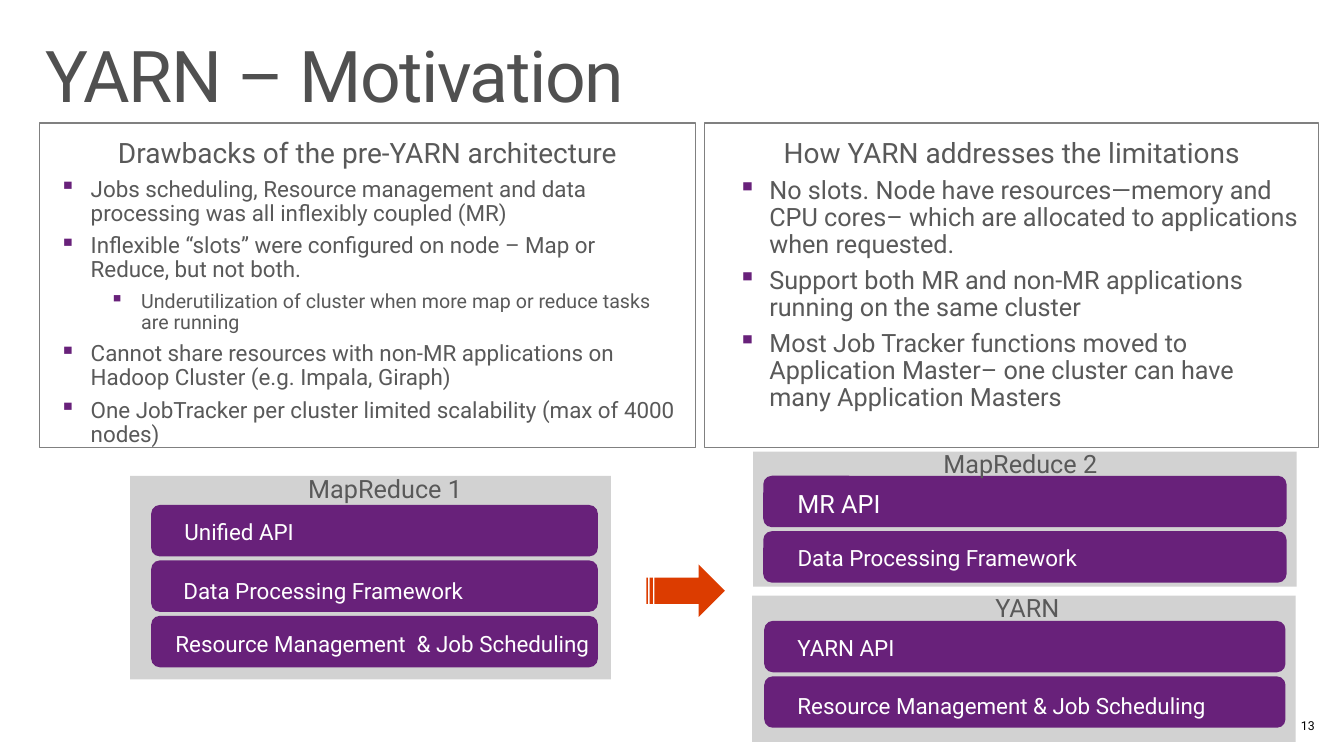
from lxml.etree import SubElement
from pptx import Presentation
from pptx.dml.color import RGBColor
from pptx.enum.shapes import MSO_SHAPE as Shape
from pptx.enum.text import MSO_ANCHOR as Anchor, MSO_AUTO_SIZE as AutoSize, PP_ALIGN as Align
from pptx.oxml.ns import qn
from pptx.util import Inches, Pt

PURPLE = RGBColor(0x68, 0x21, 0x7A)
ORANGE = RGBColor(0xDC, 0x3C, 0x00)
PANEL_GRAY = RGBColor(0xD2, 0xD2, 0xD2)
LINE_GRAY = RGBColor(0x80, 0x80, 0x80)
TITLE_GRAY = RGBColor(0x50, 0x50, 0x50)
TEXT_GRAY = RGBColor(0x59, 0x59, 0x59)
WHITE = RGBColor(0xFF, 0xFF, 0xFF)
BLACK = RGBColor(0, 0, 0)

FONT = "Roboto"
INSETS = (0.2, 0.16, 0.2, 0.16)
BAR_HEIGHT, BAR_PITCH = 0.51, 0.55

# Text boxes above: heading, left, width, bullet margin, (text, size, level)
TEXT_PANELS = [
    ("Drawbacks of the pre-YARN architecture", 0.39, 6.51, 0.31, [
        ("Jobs scheduling, Resource management and data processing was all "
         "inflexibly coupled (MR)", 16, 0),
        ("Inflexible “slots” were configured on node – Map or Reduce, but not both.", 16, 0),
        ("Underutilization of cluster when more map or reduce tasks are running", 14, 1),
        ("Cannot share resources with non-MR applications on Hadoop Cluster "
         "(e.g. Impala, Giraph)", 16, 0),
        ("One JobTracker per cluster limited scalability (max of 4000 nodes)", 16, 0),
    ]),
    ("How YARN addresses the limitations", 6.99, 6.09, 0.44, [
        ("No slots. Node have resources—memory and CPU cores– which are allocated "
         "to applications when requested.", 18, 0),
        ("Support both MR and non-MR applications running on the same cluster", 18, 0),
        ("Most Job Tracker functions moved to Application Master– one cluster can "
         "have many Application Masters", 18, 0),
    ]),
]

# Stacks below: heading, its place, panel box, first bar, (label, left, top, width, size)
STACKS = [
    ("YARN", (9.05, 5.86), (7.46, 5.91, 5.39, 1.45), (7.58, 6.16, 5.17), [
        ("YARN API", 7.71, 6.16, 2.9, 16),
        ("Resource Management & Job Scheduling", 7.71, 6.74, 4.74, 16),
    ]),
    ("MapReduce 2", (8.98, 4.43), (7.47, 4.48, 5.39, 1.34), (7.57, 4.72, 5.19), [
        ("MR API", 7.71, 4.72, 2.9, 18),
        ("Data Processing Framework", 7.71, 5.27, 4.58, 16),
    ]),
    ("MapReduce 1", (2.68, 4.68), (1.29, 4.72, 4.77, 2.02), (1.5, 5.01, 4.43), [
        ("Unified API", 1.63, 5.01, 1.86, 16),
        ("Data Processing Framework", 1.62, 5.6, 3.76, 16),
        ("Resource Management  & Job Scheduling", 1.54, 6.12, 4.52, 16),
    ]),
]


class SlideBuilder:
    def __init__(self, presentation):
        self.slide = presentation.slides.add_slide(presentation.slide_layouts[5])

    def frame(self, shape, insets=INSETS, anchor=Anchor.TOP):
        frame = shape.text_frame
        frame.word_wrap = True
        frame.auto_size = AutoSize.NONE
        frame.vertical_anchor = anchor
        (frame.margin_left, frame.margin_top,
         frame.margin_right, frame.margin_bottom) = map(Inches, insets)
        return frame

    def add_text(self, paragraph, text, size, color, align=Align.LEFT, after=6):
        paragraph.alignment = align
        paragraph.line_spacing = 0.9
        paragraph.space_before = Pt(0)
        paragraph.space_after = Pt(after)
        run = paragraph.add_run()
        run.text = text
        run.font.name = FONT
        run.font.size = Pt(size)
        run.font.color.rgb = color
        return run

    def title(self, text, box):
        shape = self.slide.shapes.title
        shape.left, shape.top, shape.width, shape.height = map(Inches, box)
        frame = self.frame(shape, (0.16, 0.1, 0.16, 0.1))
        run = self.add_text(frame.paragraphs[0], text, 51, TITLE_GRAY, after=0)
        run._r.get_or_add_rPr().set("spc", "-100")

    def shape(self, kind, box, fill=None, line=None):
        shape = self.slide.shapes.add_shape(kind, *map(Inches, box))
        shape.shadow.inherit = False
        if fill is None:
            shape.fill.background()
        else:
            shape.fill.solid()
            shape.fill.fore_color.rgb = fill
        if line is None:
            shape.line.fill.background()
        else:
            shape.line.color.rgb = line
            shape.line.width = Pt(0.75)
        return shape

    def label(self, text, box, size, color, align=Align.LEFT, anchor=Anchor.TOP, insets=INSETS):
        shape = self.slide.shapes.add_textbox(*map(Inches, box))
        frame = self.frame(shape, insets, anchor)
        self.add_text(frame.paragraphs[0], text, size, color, align)

    def bullet(self, paragraph, margin):
        properties = paragraph._p.get_or_add_pPr()
        properties.set("marL", str(Inches(margin)))
        properties.set("indent", str(Inches(-0.31)))
        color = SubElement(properties, qn("a:buClr"))
        SubElement(color, qn("a:srgbClr"), val=str(PURPLE))
        SubElement(properties, qn("a:buChar"), char="▪")

    def text_panel(self, heading, left, width, margin, items):
        shape = self.shape(Shape.RECTANGLE, (left, 1.22, width, 3.22), line=LINE_GRAY)
        frame = self.frame(shape)
        self.add_text(frame.paragraphs[0], heading, 20, TEXT_GRAY, Align.CENTER)
        for text, size, level in items:
            paragraph = frame.add_paragraph()
            paragraph.level = level
            self.bullet(paragraph, margin + 0.5 * level)
            self.add_text(paragraph, text, size, TEXT_GRAY)

    def stack(self, heading, place, panel, first_bar, labels):
        self.shape(Shape.RECTANGLE, panel, PANEL_GRAY)
        left, top, width = first_bar
        for row, (text, text_left, text_top, text_width, size) in enumerate(labels):
            bar = (left, top + row * BAR_PITCH, width, BAR_HEIGHT)
            self.shape(Shape.ROUNDED_RECTANGLE, bar, PURPLE)
            self.label(text, (text_left, text_top, text_width, 0.5), size, WHITE)
        self.label(heading, (*place, 2.28, 0.37), 18, TEXT_GRAY, Align.CENTER, Anchor.MIDDLE)


def main():
    presentation = Presentation()
    presentation.slide_width = Inches(13.33)
    presentation.slide_height = Inches(7.5)
    builder = SlideBuilder(presentation)

    # Title and page number
    builder.title("YARN – Motivation", (0.29, 0.31, 12.74, 1.01))
    builder.label("13", (12.43, 7.13, 0.61, 0.15), 8.8, BLACK, Align.RIGHT,
                  Anchor.MIDDLE, (0.1, 0, 0, 0))

    # Comparison text
    for panel in TEXT_PANELS:
        builder.text_panel(*panel)

    # Architecture stacks and the arrow between them
    for stack in STACKS:
        builder.stack(*stack)
    builder.shape(Shape.STRIPED_RIGHT_ARROW, (6.41, 5.6, 0.78, 0.52), ORANGE)

    presentation.save("out.pptx")


if __name__ == "__main__":
    main()
